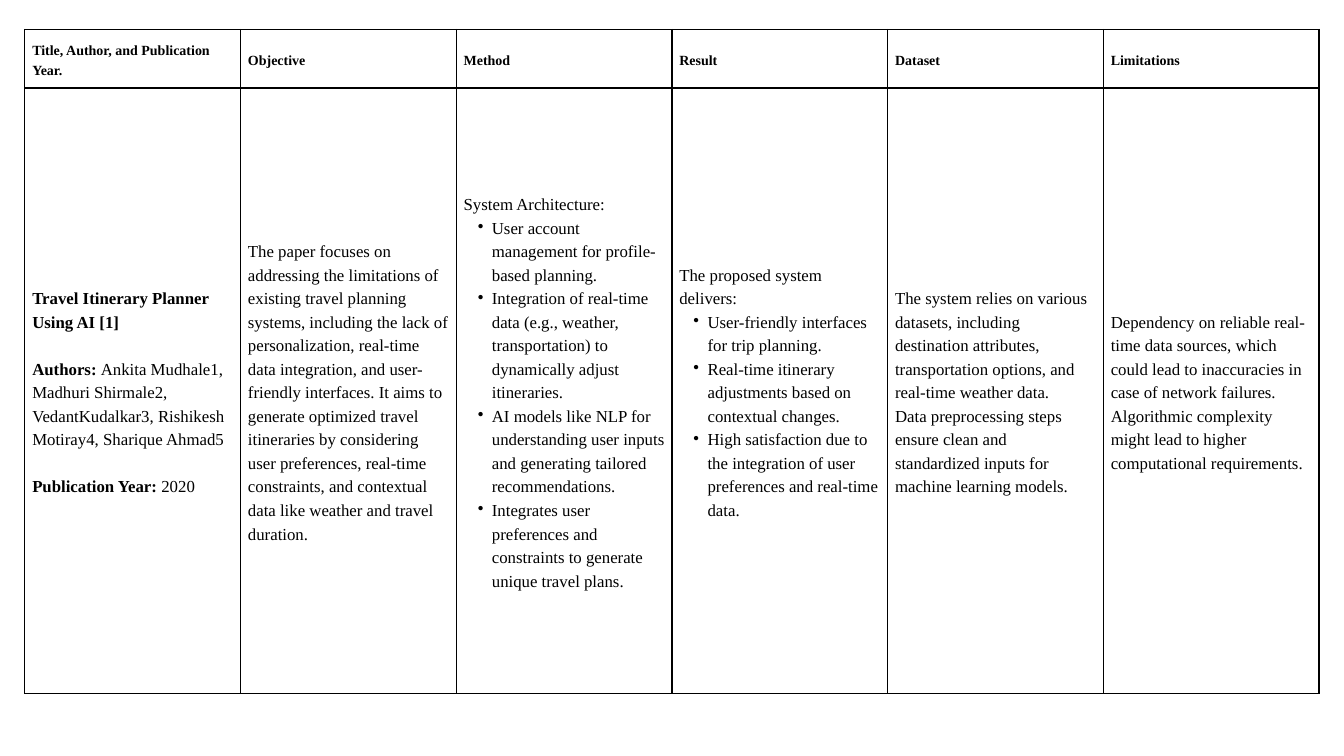
"""Build a one-row literature review table slide."""
import pptx
import pptx.util
import pptx.dml.color
import pptx.enum.text
from lxml import etree
from pptx.oxml.ns import qn

Inches, Pt = pptx.util.Inches, pptx.util.Pt

HEADS = ["Title, Author, and Publication Year.", "Objective", "Method",
         "Result", "Dataset", "Limitations"]
BODY = [
    [("gap", "Travel Itinerary Planner Using AI [1]", ""),
     ("gap", "Authors: ", "Ankita Mudhale1, Madhuri Shirmale2, VedantKudalkar3, "
      "Rishikesh Motiray4, Sharique Ahmad5"),
     ("gap", "Publication Year: ", "2020")],
    [("text", "", "The paper focuses on addressing the limitations of existing travel "
      "planning systems, including the lack of personalization, real-time data "
      "integration, and user-friendly interfaces. It aims to generate optimized travel "
      "itineraries by considering user preferences, real-time constraints, and "
      "contextual data like weather and travel duration.")],
    [("text", "", "System Architecture:"),
     ("item", "", "User account management for profile-based planning."),
     ("item", "", "Integration of real-time data (e.g., weather, transportation) to "
      "dynamically adjust itineraries."),
     ("item", "", "AI models like NLP for understanding user inputs and generating "
      "tailored recommendations."),
     ("item", "", "Integrates user preferences and constraints to generate unique "
      "travel plans.")],
    [("text", "", "The proposed system delivers:"),
     ("item", "", "User-friendly interfaces for trip planning."),
     ("item", "", "Real-time itinerary adjustments based on contextual changes."),
     ("item", "", "High satisfaction due to the integration of user preferences and "
      "real-time data.")],
    [("text", "", "The system relies on various datasets, including destination "
      "attributes, transportation options, and real-time weather data."),
     ("text", "", "Data preprocessing steps ensure clean and standardized inputs for "
      "machine learning models.")],
    [("text", "", "Dependency on reliable real-time data sources, which could lead to "
      "inaccuracies in case of network failures."),
     ("text", "", "Algorithmic complexity might lead to higher computational "
      "requirements.")],
]
ROWS = [
    {"high": 0.87, "size": 15, "lead": 21, "cells": [[("text", h, "")] for h in HEADS]},
    {"high": 9.01, "size": 18, "lead": 25.2, "cells": BODY},
]
LEFT, TOP, WIDE = 0.37, 0.44, 3.21
INK = "000000"
FONT = {"name": "Times New Roman", "italic": False}
CELL = {f"margin_{s}": Inches(0.11) for s in ("left", "right", "top", "bottom")}
CELL["vertical_anchor"] = pptx.enum.text.MSO_ANCHOR.MIDDLE
FLAGS = {"first_row": False, "horz_banding": False}


def put(thing, vals):
    for key, val in vals.items():
        setattr(thing, key, val)


def paint(fill, color):
    fill.solid()
    put(fill.fore_color, {"rgb": pptx.dml.color.RGBColor.from_string(color)})


def edge(cell):
    props = cell._tc.get_or_add_tcPr()
    for side in "LRTB":
        line = etree.SubElement(props, qn(f"a:ln{side}"), w=str(Pt(1.5)))
        fill = etree.SubElement(line, qn("a:solidFill"))
        etree.SubElement(fill, qn("a:srgbClr"), val=INK)


def bullet(para):
    props = para._p.get_or_add_pPr()
    put(para, {"level": 1})
    props.set("marL", str(Inches(0.42)))
    props.set("indent", str(Inches(-0.21)))
    etree.SubElement(props, qn("a:buChar"), char="•")


def write(para, row, kind, first, bold, plain):
    put(para, {"line_spacing": Pt(row["lead"])})
    if kind == "gap" and not first:
        put(para, {"space_before": Pt(row["lead"])})
    if kind == "item":
        bullet(para)
    for text, heavy in ((bold, True), (plain, False)):
        if text:
            run = para.add_run()
            run.text = text
            put(run.font, {**FONT, "size": Pt(row["size"]), "bold": heavy})
            paint(run.font.fill, INK)


def main():
    deck = pptx.Presentation()
    put(deck, {"slide_width": Inches(20), "slide_height": Inches(11.25)})
    slide = deck.slides.add_slide(deck.slide_layouts[6])
    high = sum(row["high"] for row in ROWS)
    table = slide.shapes.add_table(
        len(ROWS), len(HEADS), Inches(LEFT), Inches(TOP),
        Inches(WIDE * len(HEADS)), Inches(high)).table
    put(table, FLAGS)
    for col in table.columns:
        col.width = Inches(WIDE)
    for r, row in enumerate(ROWS):
        table.rows[r].height = Inches(row["high"])
        for c, paras in enumerate(row["cells"]):
            cell = table.cell(r, c)
            put(cell, CELL)
            edge(cell)
            cell.fill.background()
            frame = cell.text_frame
            for i, (kind, bold, plain) in enumerate(paras):
                para = frame.add_paragraph() if i else frame.paragraphs[0]
                write(para, row, kind, i == 0, bold, plain)
    deck.save("out.pptx")


if __name__ == "__main__":
    main()
